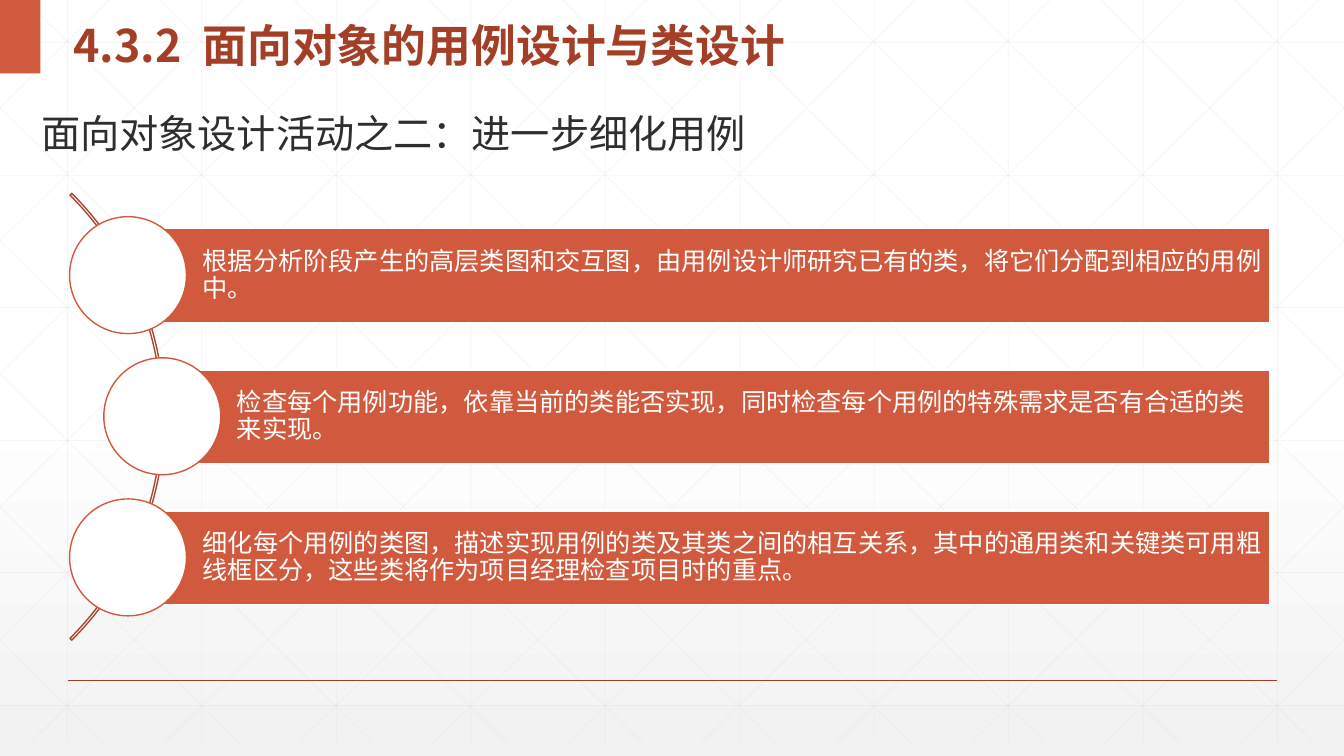
from dataclasses import dataclass

from lxml.etree import SubElement as Sub
from pptx import Presentation
from pptx.dml.color import RGBColor
from pptx.enum.shapes import MSO_CONNECTOR as Link, MSO_SHAPE as Kind
from pptx.enum.text import MSO_ANCHOR as Anchor, MSO_AUTO_SIZE as Auto, PP_ALIGN as Align
from pptx.oxml.ns import qn
from pptx.shapes.autoshape import Shape
from pptx.slide import Slide
from pptx.text.text import TextFrame
from pptx.util import Pt

SCALE = 9144
WIDE, HIGH, FLOOR = 1333, 750, 737
RED, RUST, BRICK, WHITE = "D15A3E", "A43F27", "A74832", "FFFFFF"
ARIAL, NOTO = "Arial", "Noto Sans CJK SC"


@dataclass(frozen=True)
class Step:
    left: int
    text: str


@dataclass(frozen=True)
class Style:
    font: str
    size: int
    color: str
    bold: bool = False


STEPS = [
    Step(69, "根据分析阶段产生的高层类图和交互图，由用例设计师研究已有的类，将它们分配到相应的用例中。"),
    Step(103, "检查每个用例功能，依靠当前的类能否实现，同时检查每个用例的特殊需求是否有合适的类来实现。"),
    Step(69, "细化每个用例的类图，描述实现用例的类及其类之间的相互关系，其中的通用类和关键类可用粗线框区分，这些类将作为项目经理检查项目时的重点。"),
]


def px(num: float) -> int:
    return round(num) * SCALE


def paint(code: str) -> RGBColor:
    return RGBColor.from_string(code)


def fade(node, share: int) -> None:
    for color in node.iter(qn("a:srgbClr")):
        Sub(color, qn("a:alpha"), val=str(share * 1000))


def wash(slide: Slide) -> None:
    fill = slide.background.fill
    fill.gradient()
    fill.gradient_angle = 270
    stops = next(slide.element.iter(qn("a:gsLst")))
    for stop in list(stops):
        stops.remove(stop)
    for place, code, share in [(0, WHITE, 100), (53, WHITE, 100), (100, "F2F2F2", 65)]:
        stop = Sub(stops, qn("a:gs"), pos=str(place * 1000))
        Sub(stop, qn("a:srgbClr"), val=code)
        if share < 100:
            fade(stop, share)


def rule(slide: Slide, x1: float, y1: float, x2: float, y2: float,
         code: str = "D9D9D9", width: float = 0.5, share: int = 25) -> None:
    line = slide.shapes.add_connector(Link.STRAIGHT, px(x1), px(y1), px(x2), px(y2))
    line.line.color.rgb = paint(code)
    line.line.width = Pt(width)
    props = line.element.spPr
    if share < 100:
        fade(props, share)
    Sub(props, qn("a:effectLst"))


def grid(slide: Slide) -> None:
    gap, slope = 400 / 3, FLOOR / 745
    for col in range(10):
        x = 67 + col * gap
        rule(slide, x, 0, x, FLOOR)
    for row in range(6):
        y = 42 + row * 131.6
        rule(slide, 0, y, WIDE, y)
    for step in range(-5, 10):
        base = 25 + step * gap
        x1, x2 = max(base, 0), min(base + 745, WIDE)
        y1, y2 = (x1 - base) * slope, (x2 - base) * slope
        rule(slide, x1, y1, x2, y2)
        rule(slide, WIDE - x1, y1, WIDE - x2, y2)


def form(slide: Slide, kind: Kind, left: int, top: int, width: int, height: int,
         fill: str | None, edge: str | None) -> Shape:
    shape = slide.shapes.add_shape(kind, px(left), px(top), px(width), px(height))
    shape.shadow.inherit = False
    if fill:
        shape.fill.solid()
        shape.fill.fore_color.rgb = paint(fill)
    else:
        shape.fill.background()
    if edge:
        shape.line.color.rgb = paint(edge)
        shape.line.width = Pt(1)
    else:
        shape.line.fill.background()
    return shape


def write(frame: TextFrame, texts: list[str], style: Style, space: float | None = None) -> None:
    para = frame.paragraphs[0]
    para.alignment = Align.LEFT
    if space:
        para.line_spacing = space
    for text in texts:
        run = para.add_run()
        run.text = text
        font = run.font
        font.name, font.size, font.bold = style.font, Pt(style.size), style.bold
        font.color.rgb = paint(style.color)
        props = run._r.get_or_add_rPr()
        Sub(props, qn("a:ea"), typeface=style.font)
        if text == " ":
            props.set("spc", "730")


def label(slide: Slide, left: int, top: int, width: int, height: int) -> TextFrame:
    return slide.shapes.add_textbox(px(left), px(top), px(width), px(height)).text_frame


def draw(slide: Slide, step: Step, top: int) -> None:
    left = step.left + 58
    bar = form(slide, Kind.RECTANGLE, left, top, 1259 - left, 93, RED, WHITE)
    frame = bar.text_frame
    frame.word_wrap = True
    frame.vertical_anchor = Anchor.MIDDLE
    frame.margin_left = px(74)
    frame.margin_right = frame.margin_top = frame.margin_bottom = px(5)
    write(frame, [step.text], Style(ARIAL, 18, WHITE), 0.9)
    form(slide, Kind.OVAL, step.left, top - 12, 116, 116, WHITE, RED)


def main() -> None:
    deck = Presentation()
    deck.slide_width, deck.slide_height = px(WIDE), px(HIGH)
    slide = deck.slides.add_slide(deck.slide_layouts[6])
    wash(slide)
    grid(slide)
    rule(slide, 67, 675, 1267, 675, RUST, 1, 100)
    form(slide, Kind.RECTANGLE, 0, 0, 40, 73, RED, None)

    title = label(slide, 63, 0, 852, 73)
    title.word_wrap = True
    title.vertical_anchor = Anchor.MIDDLE
    write(title, ["4.3.2", " ", "面向对象的用例设计与类设计"], Style(NOTO, 32, RUST, True), 1.3)

    arc = form(slide, Kind.BLOCK_ARC, -464, 100, 627, 627, None, BRICK)
    for spot, value in enumerate([189, 27, 0.004]):
        arc.adjustments[spot] = value
    for row, step in enumerate(STEPS):
        draw(slide, step, 227 + row * 140)

    head = label(slide, 31, 104, 727, 57)
    head.word_wrap = False
    head.auto_size = Auto.SHAPE_TO_FIT_TEXT
    write(head, ["面向对象设计活动之二：进一步细化用例"], Style(ARIAL, 28, "2D2E2D"))
    deck.save("out.pptx")


if __name__ == "__main__":
    main()
